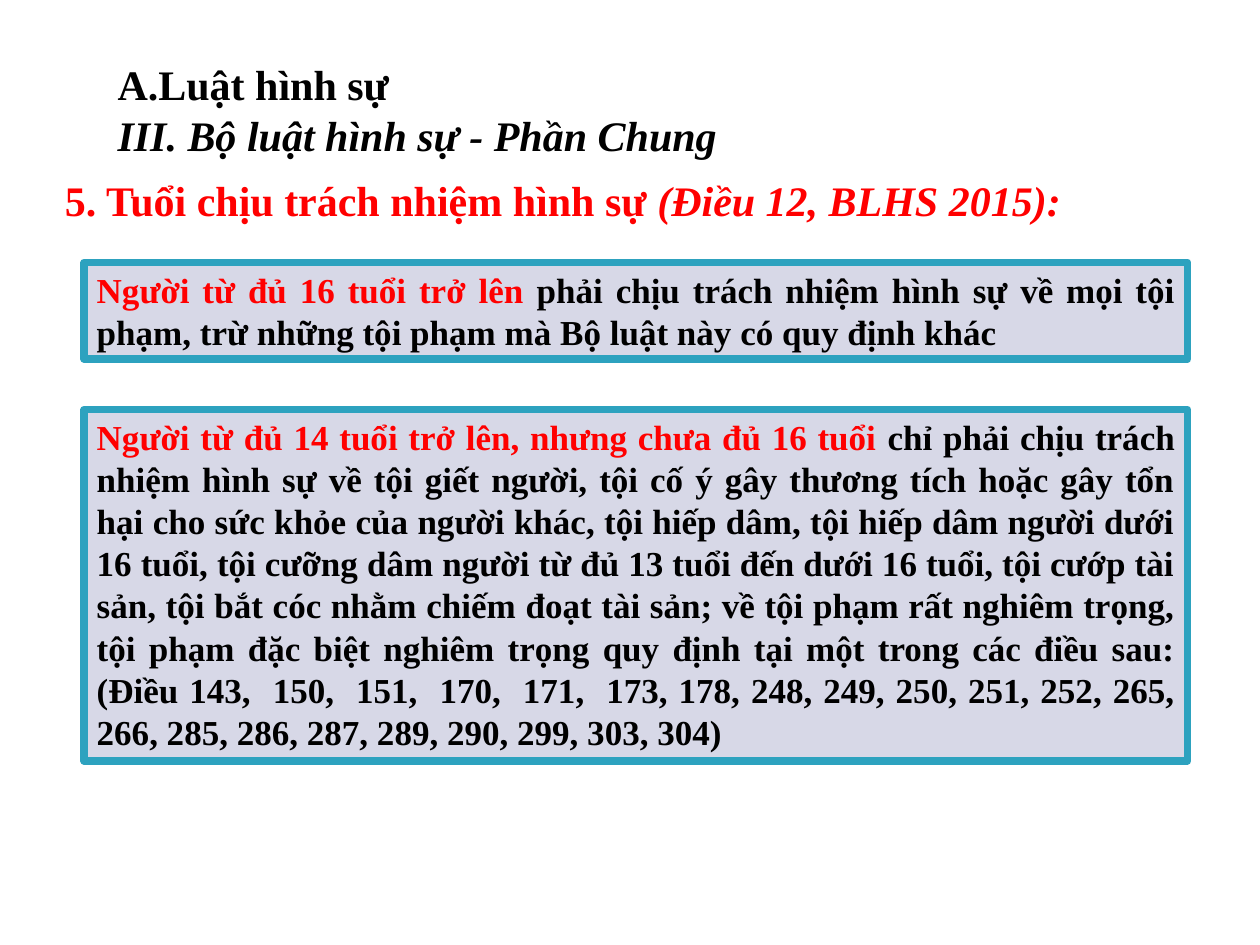
import pptx
import pptx.dml.color
import pptx.enum.shapes
import pptx.enum.text
import pptx.util

Cm = pptx.util.Cm
Pt = pptx.util.Pt
COLOURS = {"red": "FF0000", "black": "000000", "panel": "D7D8E7", "border": "2DA2BF"}


def colour(name):
    return pptx.dml.color.RGBColor.from_string(COLOURS[name])


def write_paragraphs(box, paragraphs, size, indent=0, space_before=0):
    """Fill a box with justified paragraphs of (text, colour, italic) spans."""
    frame = box.text_frame
    frame.word_wrap = True
    frame.vertical_anchor = pptx.enum.text.MSO_ANCHOR.TOP
    for index, spans in enumerate(paragraphs):
        para = frame.add_paragraph() if index else frame.paragraphs[0]
        para.alignment = pptx.enum.text.PP_ALIGN.JUSTIFY
        if space_before:
            para.space_before = Pt(space_before)
        if indent:
            properties = para._p.get_or_add_pPr()
            properties.set("marL", str(Cm(indent)))
            properties.set("indent", "0")
        for text, ink, italic in spans:
            span = para.add_run()
            span.text = text
            font_format = {"name": "Times New Roman", "size": Pt(size),
                           "bold": True, "italic": italic}
            for attribute, value in font_format.items():
                setattr(span.font, attribute, value)
            span.font.color.rgb = colour(ink)


deck = pptx.Presentation()
deck.slide_width, deck.slide_height = Cm(25.4), Cm(19.05)
page = deck.slides.add_slide(deck.slide_layouts[6])

# Section heading
heading = page.shapes.add_textbox(Cm(0.85), Cm(1.06), Cm(18.2), Cm(3.32))
write_paragraphs(heading, [
    [("A.Luật hình sự", "black", False)],
    [("III. Bộ luật hình sự - Phần Chung", "black", True)],
], size=24, indent=1.27)

# Topic line
topic = page.shapes.add_textbox(Cm(1.06), Cm(3.39), Cm(23.3), Cm(1.27))
write_paragraphs(topic, [[
    ("5. Tuổi chịu trách nhiệm hình sự ", "red", False),
    ("(Điều 12, BLHS 2015):", "red", True),
]], size=24, space_before=4)

# Framed rules: top, height, age group, liability
rules = [
    (5.29, 1.95, "Người từ đủ 16 tuổi trở lên ",
     "phải chịu trách nhiệm hình sự về mọi tội phạm, trừ những tội phạm mà "
     "Bộ luật này có quy định khác"),
    (8.26, 7.08, "Người từ đủ 14 tuổi trở lên, nhưng chưa đủ 16 tuổi ",
     "chỉ phải chịu trách nhiệm hình sự về tội giết người, tội cố ý gây thương "
     "tích hoặc gây tổn hại cho sức khỏe của người khác, tội hiếp dâm, tội hiếp "
     "dâm người dưới 16 tuổi, tội cưỡng dâm người từ đủ 13 tuổi đến dưới 16 tuổi, "
     "tội cướp tài sản, tội bắt cóc nhằm chiếm đoạt tài sản; về tội phạm rất "
     "nghiêm trọng, tội phạm đặc biệt nghiêm trọng quy định tại một trong các "
     "điều sau: (Điều 143,  150,  151,  170,  171,  173, 178, 248, 249, 250, 251, "
     "252, 265, 266, 285, 286, 287, 289, 290, 299, 303, 304)"),
]
for top, height, age_group, liability in rules:
    panel = page.shapes.add_shape(pptx.enum.shapes.MSO_SHAPE.RECTANGLE,
                                  Cm(1.7), Cm(top), Cm(22.24), Cm(height))
    panel.shadow.inherit = False
    panel.fill.solid()
    panel.fill.fore_color.rgb = colour("panel")
    panel.line.color.rgb = colour("border")
    panel.line.width = Pt(4.33)
    write_paragraphs(panel, [[(age_group, "red", False),
                              (liability, "black", False)]], size=20)

deck.save("out.pptx")
